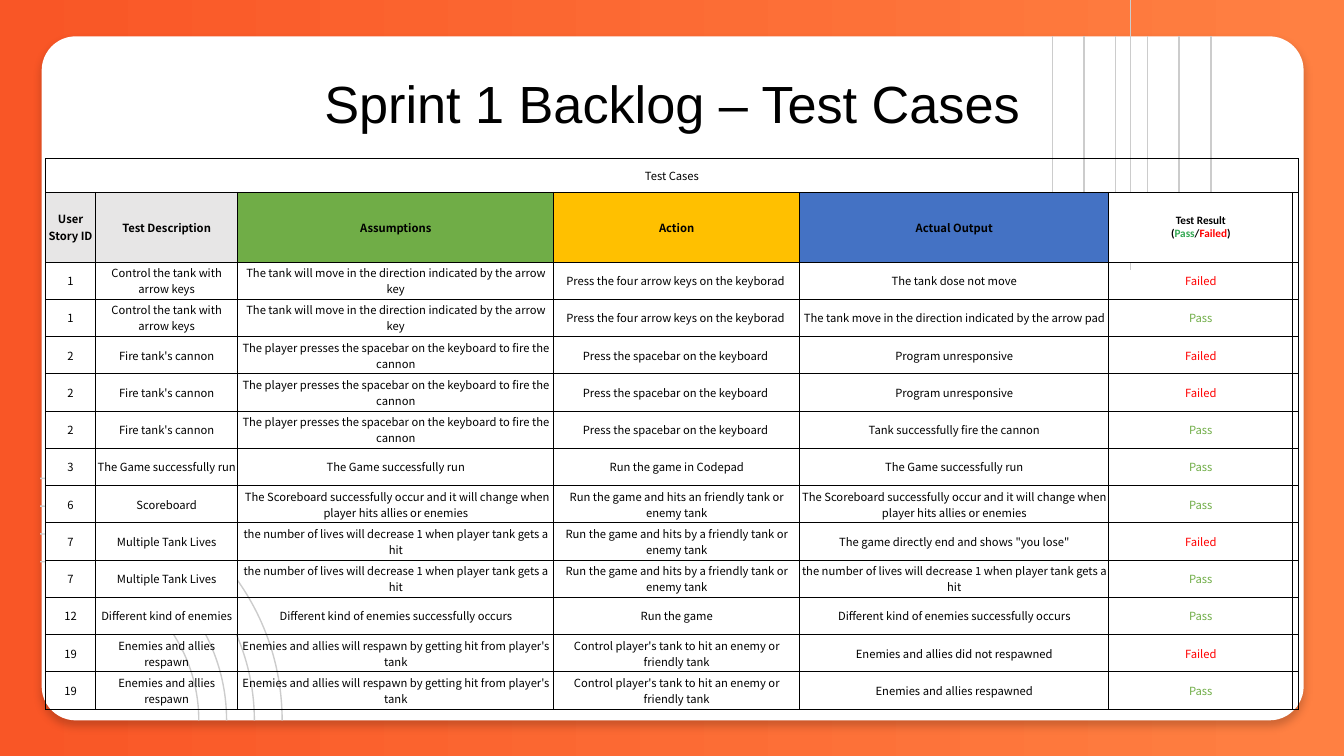
from lxml import etree
from pptx import Presentation
from pptx.dml.color import RGBColor
from pptx.enum.shapes import MSO_CONNECTOR, MSO_SHAPE
from pptx.enum.text import MSO_ANCHOR, MSO_AUTO_SIZE, PP_ALIGN
from pptx.oxml import parse_xml
from pptx.oxml.ns import nsdecls, qn
from pptx.util import Inches, Pt

STRAIGHT = MSO_CONNECTOR.STRAIGHT
ARC, ROUNDED = MSO_SHAPE.ARC, MSO_SHAPE.ROUNDED_RECTANGLE
MIDDLE, CENTER = MSO_ANCHOR.MIDDLE, PP_ALIGN.CENTER

ORANGE_DARK = RGBColor(0xF9, 0x56, 0x26)
ORANGE_LIGHT = RGBColor(0xFF, 0x80, 0x42)
WHITE = RGBColor(0xFF, 0xFF, 0xFF)
BLACK = RGBColor(0x00, 0x00, 0x00)
LINE_GRAY = RGBColor(0xCC, 0xCC, 0xCC)
HEADER_GRAY = RGBColor(0xE7, 0xE6, 0xE6)
GREEN = RGBColor(0x70, 0xAD, 0x47)
AMBER = RGBColor(0xFF, 0xC0, 0x00)
BLUE = RGBColor(0x44, 0x72, 0xC4)
PASS_GREEN = RGBColor(0x34, 0xA8, 0x53)
RED = RGBColor(0xFF, 0x00, 0x00)

TABLE_FONT = "Noto Sans CJK SC"
COLUMN_WIDTHS = [0.37, 1.06, 2.35, 1.83, 2.3, 1.37, 0.04]
CAPTION_HEIGHT, HEADER_HEIGHT = 0.25, 0.52
HEADERS = [
    ("User Story ID", HEADER_GRAY),
    ("Test Description", HEADER_GRAY),
    ("Assumptions", GREEN),
    ("Action", AMBER),
    ("Actual Output", BLUE),
]
RESULT_HEADER = [("Test Result\v(", BLACK), ("Pass", PASS_GREEN), ("/", BLACK),
                 ("Failed", RED), (")", BLACK)]
RESULT_COLORS = {"Pass": GREEN, "Failed": RED}
UNFILLED_STORY = "19"
STORIES = [
    ("1", "Control the tank with arrow keys",
     "The tank will move in the direction indicated by the arrow key",
     "Press the four arrow keys on the keyborad ",
     [("The tank dose not move", "Failed"),
      ("The tank move in the direction indicated by the arrow pad", "Pass")]),
    ("2", "Fire tank's cannon",
     "The player presses the spacebar on the keyboard to fire the cannon",
     "Press the spacebar on the keyboard ",
     [("Program unresponsive", "Failed"),
      ("Program unresponsive", "Failed"),
      ("Tank successfully fire the cannon", "Pass")]),
    ("3", "The Game successfully run", "The Game successfully run",
     "Run the game in Codepad",
     [("The Game successfully run", "Pass")]),
    ("6", "Scoreboard",
     " The Scoreboard successfully occur and it will change when player hits allies or enemies",
     "Run the game and hits an friendly tank or enemy tank",
     [("The Scoreboard successfully occur and it will change when player hits allies or enemies",
       "Pass")]),
    ("7", "Multiple Tank Lives",
     "the number of lives will decrease 1 when player tank gets a hit",
     "Run the game and hits by a friendly tank or enemy tank",
     [('The game directly end and shows "you lose"', "Failed"),
      ("the number of lives will decrease 1 when player tank gets a hit", "Pass")]),
    ("12", "Different kind of enemies", "Different kind of enemies successfully occurs",
     "Run the game",
     [("Different kind of enemies successfully occurs", "Pass")]),
    ("19", "Enemies and allies respawn",
     "Enemies and allies will respawn by getting hit from player's tank",
     "Control player's tank to hit an enemy or friendly tank",
     [("Enemies and allies did not respawned", "Failed"),
      ("Enemies and allies respawned", "Pass")]),
]


def set_background(slide):
    """Fill the slide with a left-to-right orange gradient."""
    fill = slide.background.fill
    fill.gradient()
    fill.gradient_angle = 0
    for stop, position, color in zip(fill.gradient_stops, (0, 1), (ORANGE_DARK, ORANGE_LIGHT)):
        stop.position = position
        stop.color.rgb = color


def add_card(slide, left, top, width, height):
    """Add the white rounded card with its soft shadow."""
    card = slide.shapes.add_shape(
        ROUNDED, Inches(left), Inches(top), Inches(width), Inches(height))
    card.adjustments[0] = 0.05
    card.fill.solid()
    card.fill.fore_color.rgb = WHITE
    card.line.fill.background()
    card._element.spPr.append(parse_xml(
        f'<a:effectLst {nsdecls("a")}><a:outerShdw blurRad="{Pt(4.5)}" dist="{Pt(3)}" '
        'dir="5400000" algn="bl" rotWithShape="0"><a:srgbClr val="000000">'
        '<a:alpha val="20000"/></a:srgbClr></a:outerShdw></a:effectLst>'))


def add_arcs(slide, center_x, center_y):
    """Add four concentric quarter arcs around a corner of the card."""
    smallest, largest, count = 1.18, 1.8, 4
    for index in range(count):
        radius = smallest + index * (largest - smallest) / (count - 1)
        arc = slide.shapes.add_shape(
            ARC, Inches(center_x - radius), Inches(center_y - radius),
            Inches(2 * radius), Inches(2 * radius))
        arc.shadow.inherit = False
        arc.fill.background()
        arc.line.color.rgb = LINE_GRAY
        arc.line.width = Pt(0.75)


def add_vertical_line(slide, x, top, length):
    """Add one thin gray vertical line."""
    line = slide.shapes.add_connector(
        STRAIGHT, Inches(x), Inches(top), Inches(x), Inches(top + length))
    line.line.color.rgb = LINE_GRAY
    line.line.width = Pt(0.75)
    etree.SubElement(line._element.spPr, qn("a:effectLst"))


def add_stripes(slide, left, top, width):
    """Add six parallel lines and four staggered lines over their middle."""
    gap = width / 5
    for index in range(6):
        add_vertical_line(slide, left + index * gap, top, 1.16)
    for index in range(4):
        add_vertical_line(slide, left + 0.58, top - 0.59 + index * gap, 1.62)


def format_cell(cell, pieces, fill=None, bold=False, font_name=TABLE_FONT):
    """Write coloured text pieces into a cell and set its borders and fill."""
    cell.margin_left = cell.margin_right = cell.margin_top = cell.margin_bottom = 0
    cell.vertical_anchor = MIDDLE
    paragraph = cell.text_frame.paragraphs[0]
    paragraph.alignment = CENTER
    for text, color in pieces:
        for index, line in enumerate(text.split("\v")):
            if index:
                paragraph.add_line_break()
            run = paragraph.add_run()
            run.text = line
            run.font.color.rgb = color
    paragraph.font.size = Pt(6)
    paragraph.font.name = font_name
    paragraph.font.bold = bold
    if not pieces:
        etree.SubElement(paragraph._p, qn("a:endParaRPr")).set("sz", "600")
    properties = cell._tc.get_or_add_tcPr()
    for side in ("lnL", "lnR", "lnT", "lnB"):
        properties.append(parse_xml(
            f'<a:{side} {nsdecls("a")} w="{Pt(0.5)}"><a:solidFill>'
            f'<a:srgbClr val="{BLACK}"/></a:solidFill></a:{side}>'))
    if fill is None:
        cell.fill.background()
    else:
        cell.fill.solid()
        cell.fill.fore_color.rgb = fill


def add_test_table(slide, left, top, width, height):
    """Add the table of test cases under its caption and header rows."""
    cases = [(*story, *outcome) for *story, outcomes in STORIES for outcome in outcomes]
    table = slide.shapes.add_table(
        len(cases) + 2, len(COLUMN_WIDTHS),
        Inches(left), Inches(top), Inches(width), Inches(height)).table
    table.first_row = table.horz_banding = False
    for column, column_width in zip(table.columns, COLUMN_WIDTHS):
        column.width = Inches(column_width)
    case_height = (height - CAPTION_HEIGHT - HEADER_HEIGHT) / len(cases)
    row_heights = [CAPTION_HEIGHT, HEADER_HEIGHT] + [case_height] * len(cases)
    for row, row_height in zip(table.rows, row_heights):
        row.height = Inches(row_height)

    last = len(COLUMN_WIDTHS) - 1
    table.cell(0, 0).merge(table.cell(0, last))
    for column in range(last + 1):
        format_cell(table.cell(0, column), [("Test Cases", BLACK)] if column == 0 else [])
    for column, (text, fill) in enumerate(HEADERS):
        format_cell(table.cell(1, column), [(text, BLACK)], fill, bold=True)
    format_cell(table.cell(1, last - 1), RESULT_HEADER, WHITE, bold=True, font_name="Calibri")
    format_cell(table.cell(1, last), [])
    for row, case in enumerate(cases, start=2):
        for column, text in enumerate(case):
            filled = column < 2 and case[0] != UNFILLED_STORY
            color = RESULT_COLORS[text] if column == last - 1 else BLACK
            format_cell(table.cell(row, column), [(text, color)], WHITE if filled else None)
        format_cell(table.cell(row, last), [])


def place_title(slide, left, top, width, height):
    """Place the title in front of the card."""
    title = slide.shapes.title
    slide.shapes._spTree.append(title._element)
    title.left, title.top = Inches(left), Inches(top)
    title.width, title.height = Inches(width), Inches(height)
    frame = title.text_frame
    frame.text = "Sprint 1 Backlog – Test Cases"
    frame.word_wrap = True
    frame.auto_size = MSO_AUTO_SIZE.NONE
    frame.vertical_anchor = MIDDLE
    frame.margin_left = frame.margin_right = Inches(0.1)
    frame.margin_top = frame.margin_bottom = Inches(0.1)
    paragraph = frame.paragraphs[0]
    paragraph.alignment = CENTER
    paragraph.font.size = Pt(28)
    paragraph.font.name = "Arial"
    paragraph.font.color.rgb = BLACK


def main():
    """Build the slide and save it."""
    presentation = Presentation()
    presentation.slide_width = Inches(10)
    presentation.slide_height = presentation.slide_width * 9 // 16
    slide = presentation.slides.add_slide(presentation.slide_layouts[5])
    set_background(slide)
    add_card(slide, 0.31, 0.27, 9.39, 5.09)
    add_arcs(slide, 0.3, 5.36)
    add_stripes(slide, 7.83, 0.27, 1.18)
    add_test_table(slide, 0.34, 1.18, 9.32, 4.1)
    place_title(slide, 0.49, 0.34, 9.02, 0.84)
    presentation.save("out.pptx")


if __name__ == "__main__":
    main()
